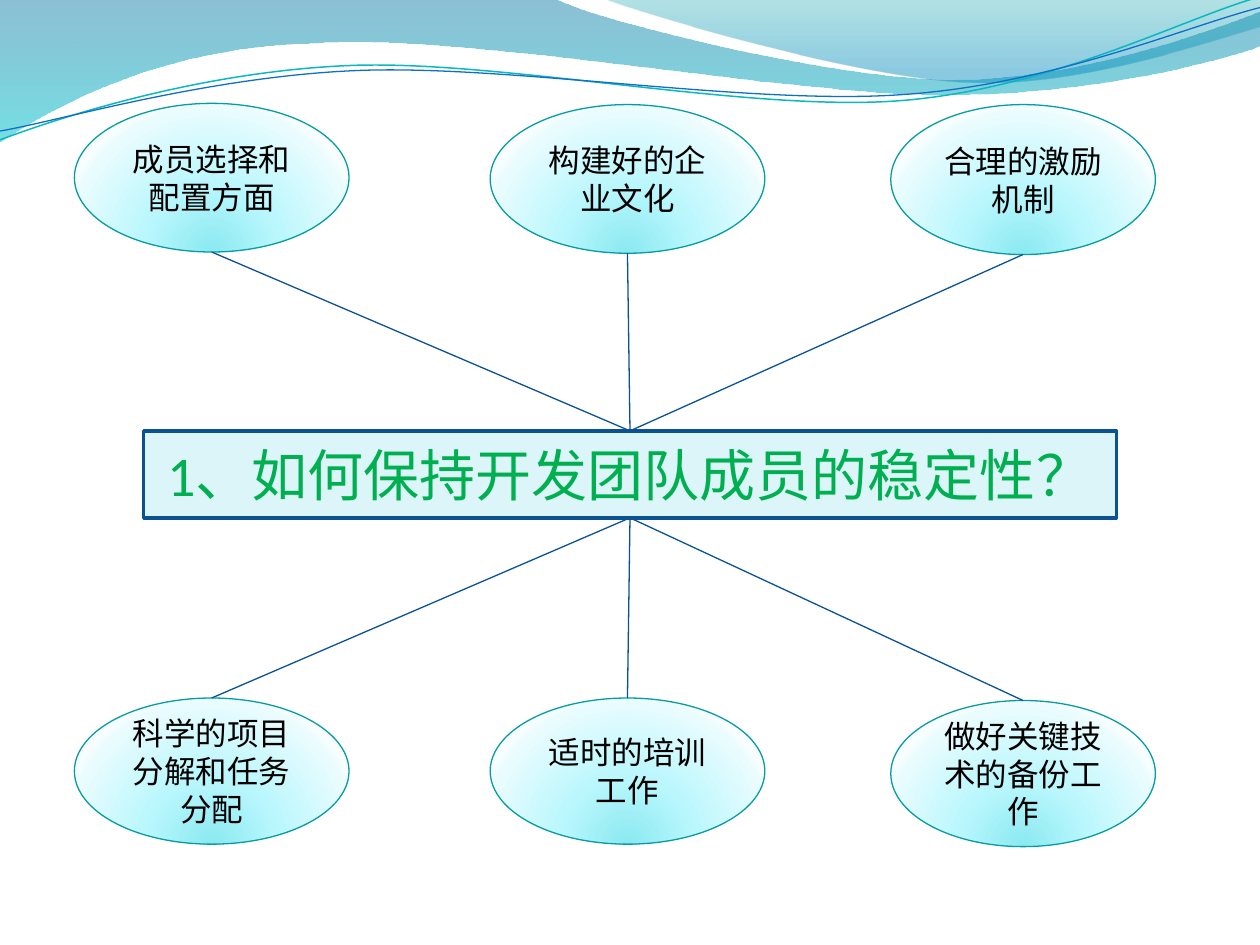
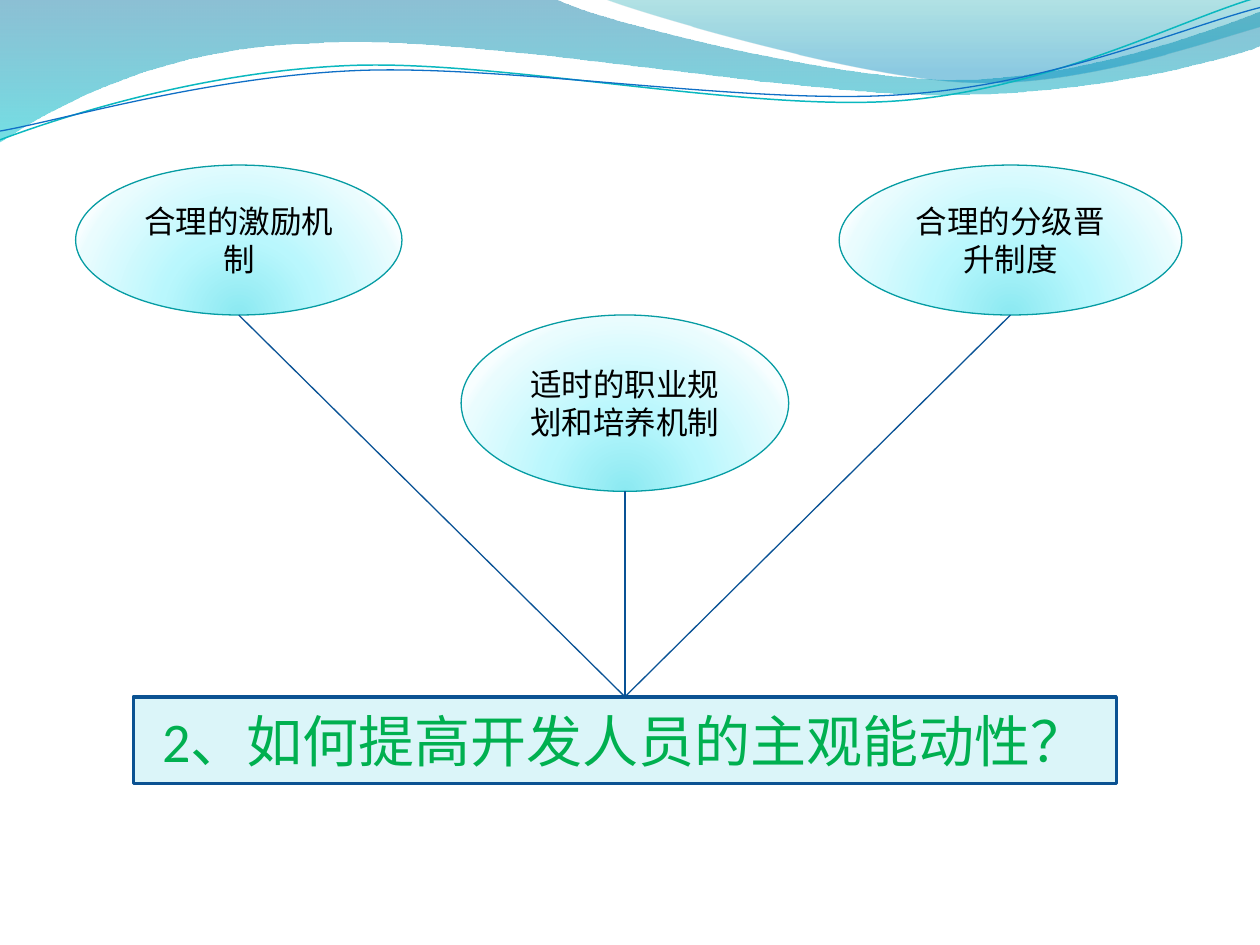
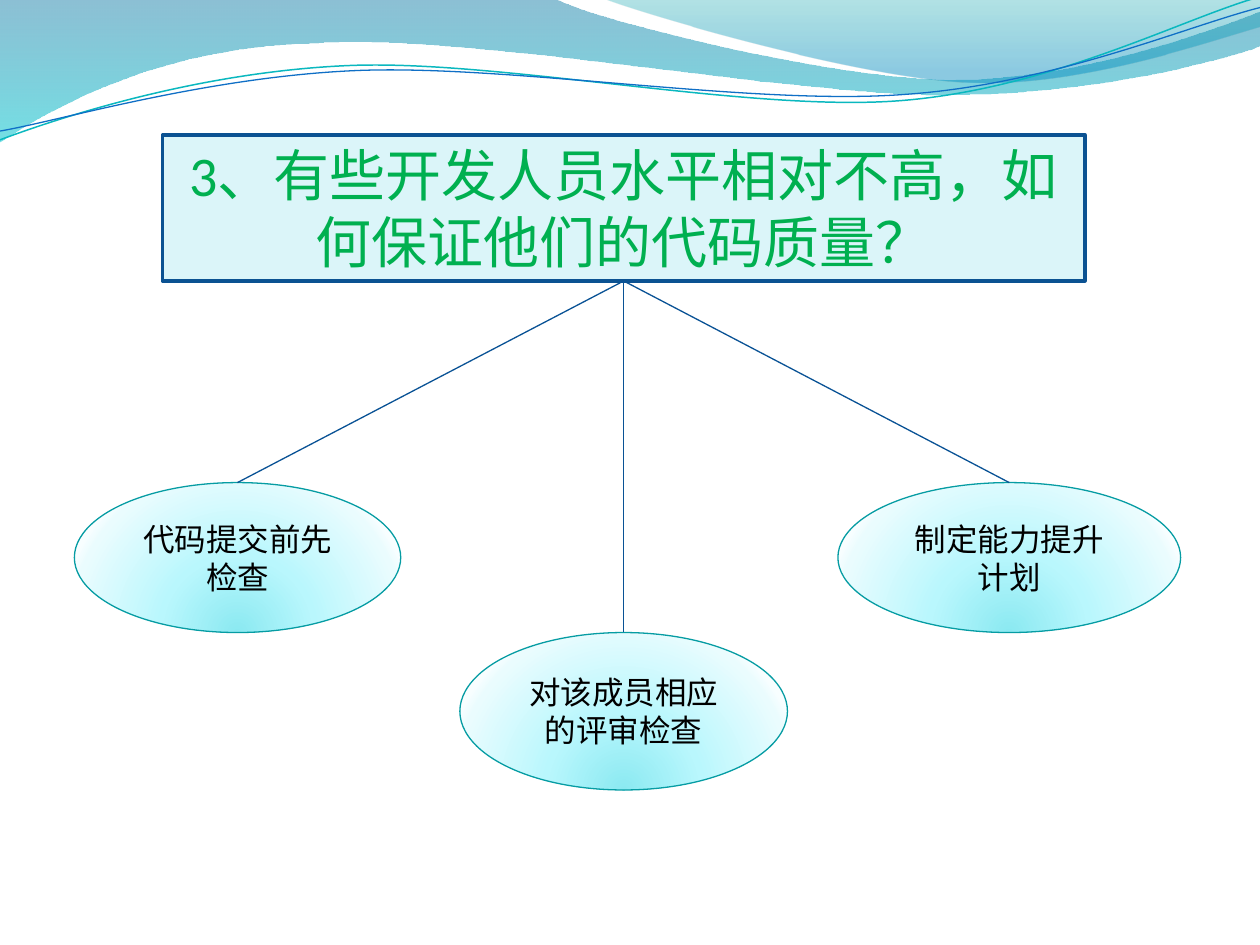
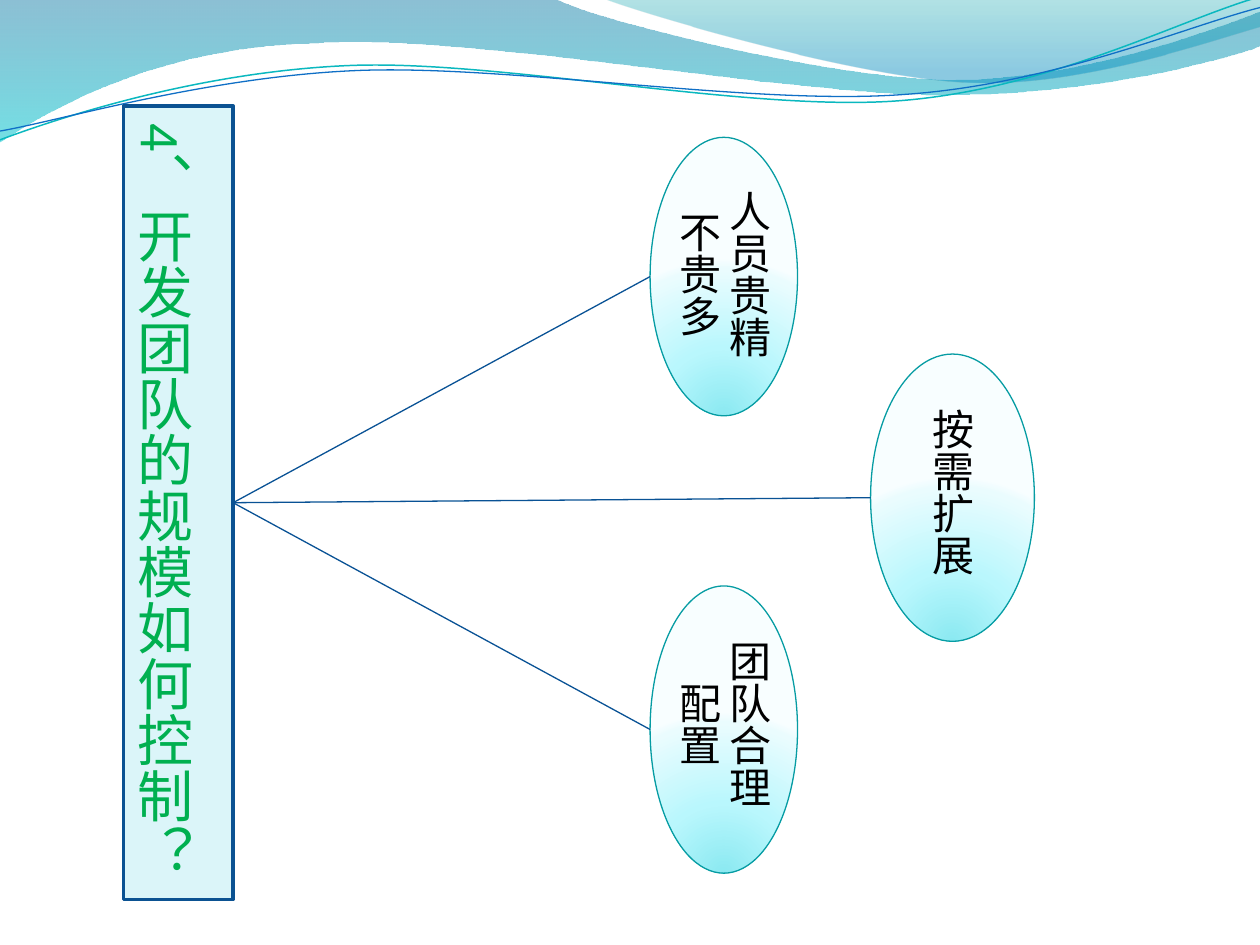
from math import cos, radians, sin

from lxml import etree
from pptx import Presentation
from pptx.dml.color import RGBColor
from pptx.enum.shapes import MSO_CONNECTOR, MSO_SHAPE
from pptx.enum.text import MSO_ANCHOR, MSO_AUTO_SIZE, PP_ALIGN
from pptx.oxml.ns import qn
from pptx.util import Inches, Pt

BOX_FILL, BOX_LINE = "DBF5F9", "0B5292"
QUESTION_COLOR, FACTOR_COLOR = "00B050", "000000"
FACTOR_LINE, LINK_COLOR = "069CA3", "095295"
NUMBER_FONT, TEXT_FONT = "Calibri", "Cambria"

# Gradient stops: position %, colour, opacity %
FACTOR_STOPS = [(0, "8BE9F1", 100), (43, "B9F7FD", 100),
                (93, "EAFCFE", 100), (100, "F8FEFF", 100)]

# Each outline is a start point and segments: one point draws a line,
# three points a cubic curve (two control points and an end point).
WAVE_BANDS = [
    ((0, 0), [[(4.4, -0.01)],
              [(4.76, 0.17), (6.64, 0.63), (7.58, 0.63)],
              [(8.53, 0.63), (9.58, 0.26), (10, 0.09)],
              [(10.01, 0.36)],
              [(9.83, 0.44), (8.7, 0.76), (7.46, 0.75)],
              [(6.22, 0.75), (3.82, 0.28), (2.57, 0.34)],
              [(1.29, 0.36), (0.46, 0.83), (-0.01, 1.13)]],
     [(0, "0074A1", 45), (100, "00C6CF", 55)]),
    ((4.79, -0.01), [[(5.09, 0.11), (6.82, 0.62), (7.69, 0.65)],
                     [(8.56, 0.69), (9.61, 0.32), (10, 0.21)],
                     [(10, 0)]],
     [(0, "00A1A9", 30), (80, "008BBF", 45)]),
]
WAVE_LINES = [
    ((0, 1.11), [[(0.48, 0.93), (1.58, 0.57), (2.77, 0.52)],
                 [(3.95, 0.47), (5.93, 0.89), (7.13, 0.8)],
                 [(8.33, 0.71), (9.38, 0.15), (9.98, -0.02)]], "0AB8BF", 0.85),
    ((0, 1.04), [[(0.47, 0.96), (1.64, 0.61), (2.83, 0.56)],
                 [(4.03, 0.51), (5.97, 0.84), (7.17, 0.75)],
                 [(8.36, 0.67), (9.41, 0.21), (10, 0.06)]], "0F6FC6", 0.75),
]
LINE_TILT = 357.3
LINE_CENTER = (4.99, 0.58)

# Each topic: number, question, box, factors with boxes, vertical writing.
# Boxes are left, top, width, height in inches.
TOPICS = [
    ("1、", "如何保持开发团队成员的稳定性？", (1.14, 3.42, 7.72, 0.69),
     [("成员选择和配置方面", (0.59, 0.82, 2.18, 1.18)),
      ("构建好的企业文化", (3.89, 0.83, 2.18, 1.18)),
      ("合理的激励机制", (7.07, 0.83, 2.1, 1.19)),
      ("科学的项目分解和任务分配", (0.59, 5.54, 2.18, 1.16)),
      ("适时的培训工作", (3.89, 5.54, 2.18, 1.16)),
      ("做好关键技术的备份工作", (7.07, 5.56, 2.1, 1.16))], False),
    ("2、", "如何提高开发人员的主观能动性？", (1.06, 5.53, 7.8, 0.69),
     [("合理的激励机制", (0.6, 1.31, 2.59, 1.19)),
      ("适时的职业规划和培养机制", (3.66, 2.5, 2.6, 1.4)),
      ("合理的分级晋升制度", (6.66, 1.31, 2.72, 1.19))], False),
    ("3、", "有些开发人员水平相对不高，如何保证他们的代码质量？", (1.29, 1.07, 7.32, 1.16),
     [("代码提交前先检查", (0.59, 3.83, 2.59, 1.19)),
      ("对该成员相应的评审检查", (3.65, 5.02, 2.6, 1.25)),
      ("制定能力提升计划", (6.65, 3.83, 2.72, 1.19))], False),
    ("4、", "开发团队的规模如何控制？", (0.98, 0.84, 0.87, 6.3),
     [("人员贵精不贵多", (5.16, 1.09, 1.17, 2.21)),
      ("按需扩展", (6.91, 2.81, 1.3, 2.28)),
      ("团队合理配置", (5.16, 4.65, 1.17, 2.28))], True),
]


def color(hex_value):
    """Turn a hex string into a colour."""
    return RGBColor.from_string(hex_value)


def set_line(line, hex_value, width):
    """Give an outline or connector its colour and width in points."""
    line.color.rgb = color(hex_value)
    line.width = Pt(width)


def set_gradient(shape, stops, radial=False):
    """Fill a shape from top to bottom, or as rings around a point below it."""
    shape.fill.background()
    properties = shape.element.spPr
    gradient = etree.Element(qn("a:gradFill"), rotWithShape="1")
    stop_list = etree.SubElement(gradient, qn("a:gsLst"))
    for position, hex_value, opacity in stops:
        stop = etree.SubElement(stop_list, qn("a:gs"), pos=str(position * 1000))
        tint = etree.SubElement(stop, qn("a:srgbClr"), val=hex_value)
        if opacity < 100:
            etree.SubElement(tint, qn("a:alpha"), val=str(opacity * 1000))
    if radial:
        rings = etree.SubElement(gradient, qn("a:path"), path="circle")
        etree.SubElement(rings, qn("a:fillToRect"), l="50000", t="130000",
                         r="50000", b="-30000")
    else:
        etree.SubElement(gradient, qn("a:lin"), ang="5400000", scaled="0")
    properties.replace(properties.find(qn("a:noFill")), gradient)


def level(point):
    """Turn a point of a tilted line back to its place before the tilt."""
    angle = radians(360 - LINE_TILT)
    x, y = point[0] - LINE_CENTER[0], point[1] - LINE_CENTER[1]
    return (LINE_CENTER[0] + x * cos(angle) - y * sin(angle),
            LINE_CENTER[1] + x * sin(angle) + y * cos(angle))


def add_outline(slide, start, segments, closed):
    """Draw a freeform whose three-point segments are cubic curves."""
    points = [start] + [point for segment in segments for point in segment]
    points = [(Inches(x), Inches(y)) for x, y in points]
    builder = slide.shapes.build_freeform(*points[0])
    builder.add_line_segments(points[1:], close=closed)
    outline = builder.convert_to_shape()
    outline.shadow.inherit = False
    steps = iter(list(outline.element.iter(qn("a:lnTo"))))
    for segment in segments:
        parts = [next(steps) for _ in segment]
        if len(parts) == 3:
            curve = etree.Element(qn("a:cubicBezTo"))
            parts[0].addprevious(curve)
            for part in parts:
                curve.append(part[0])
                part.getparent().remove(part)
    return outline


def add_waves(slide, layout):
    """Draw the wave header and move it to the layout, behind its placeholders."""
    waves = []
    for start, segments, stops in WAVE_BANDS:
        band = add_outline(slide, start, segments, True)
        set_gradient(band, stops)
        band.line.fill.background()
        waves.append(band)
    for start, segments, hex_value, width in WAVE_LINES:
        level_segments = [[level(point) for point in segment] for segment in segments]
        ripple = add_outline(slide, level(start), level_segments, False)
        ripple.rotation = LINE_TILT
        ripple.fill.background()
        set_line(ripple.line, hex_value, width)
        waves.append(ripple)
    for order, wave in enumerate(waves):
        wave.element.nvSpPr.cNvPr.id = 100 + order
        layout.shapes.element.insert(2 + order, wave.element)


def format_run(run, font, size, hex_value):
    """Set the font, size and colour of a run."""
    run.font.name = font
    run.font.size = Pt(size)
    run.font.color.rgb = color(hex_value)


def set_frame(frame, anchor, vertical):
    """Set wrapping, anchor and writing direction of a text frame."""
    frame.word_wrap = True
    frame.auto_size = MSO_AUTO_SIZE.NONE
    frame.vertical_anchor = anchor
    if vertical:
        frame._txBody.bodyPr.set("vert", "eaVert")


def place_question(slide, number, question, box, vertical):
    """Turn the title placeholder into the framed question."""
    title = slide.shapes.title
    title.left, title.top, title.width, title.height = map(Inches, box)
    title.fill.solid()
    title.fill.fore_color.rgb = color(BOX_FILL)
    set_line(title.line, BOX_LINE, 2)
    frame = title.text_frame
    set_frame(frame, MSO_ANCHOR.BOTTOM if vertical else MSO_ANCHOR.MIDDLE, vertical)
    if vertical:
        frame.margin_left, frame.margin_top = Inches(0.05), Inches(0.14)
        frame.margin_bottom = 0
    paragraph = frame.paragraphs[0]
    paragraph.text = number
    paragraph.alignment = PP_ALIGN.CENTER
    paragraph.add_run().text = question
    for run, font in zip(paragraph.runs, (NUMBER_FONT, TEXT_FONT)):
        format_run(run, font, 32, QUESTION_COLOR)


def add_factor(slide, text, box, vertical):
    """Add an ellipse that names one factor."""
    factor = slide.shapes.add_shape(MSO_SHAPE.OVAL, *map(Inches, box))
    factor.shadow.inherit = False
    set_gradient(factor, FACTOR_STOPS, radial=True)
    set_line(factor.line, FACTOR_LINE, 0.75)
    set_frame(factor.text_frame, MSO_ANCHOR.MIDDLE, vertical)
    paragraph = factor.text_frame.paragraphs[0]
    paragraph.text = text
    paragraph.alignment = PP_ALIGN.CENTER
    format_run(paragraph.runs[0], TEXT_FONT, 24 if vertical else 18, FACTOR_COLOR)


def link_ends(question_box, factor_box, vertical):
    """Find the facing edge midpoints of a question and a factor."""
    qx, qy, qw, qh = question_box
    fx, fy, fw, fh = factor_box
    if vertical:
        return qx + qw, qy + qh / 2, fx, fy + fh / 2
    if fy < qy:
        return qx + qw / 2, qy, fx + fw / 2, fy + fh
    return qx + qw / 2, qy + qh, fx + fw / 2, fy


def add_link(slide, ends):
    """Draw a thin line from the question to a factor."""
    link = slide.shapes.add_connector(MSO_CONNECTOR.STRAIGHT, *map(Inches, ends))
    set_line(link.line, LINK_COLOR, 0.75)
    etree.SubElement(link.element.spPr, qn("a:effectLst"))


def main():
    """Build one slide per question and save the presentation."""
    presentation = Presentation()
    presentation.slide_width, presentation.slide_height = Inches(10), Inches(7.5)
    layout = presentation.slide_layouts.get_by_name("Title Only")
    for index, (number, question, box, factors, vertical) in enumerate(TOPICS):
        slide = presentation.slides.add_slide(layout)
        if index == 0:
            add_waves(slide, layout)
        place_question(slide, number, question, box, vertical)
        for text, factor_box in factors:
            add_factor(slide, text, factor_box, vertical)
            add_link(slide, link_ends(box, factor_box, vertical))
    presentation.save("out.pptx")


main()
